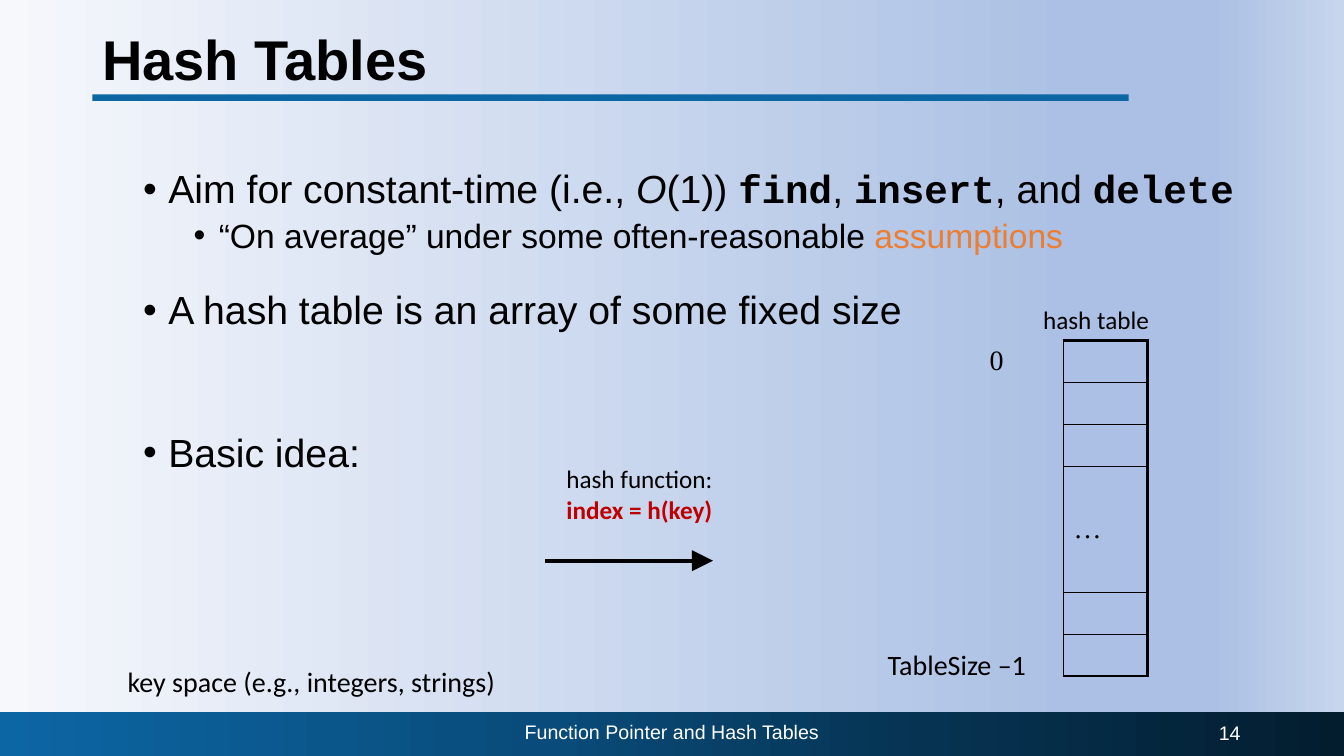
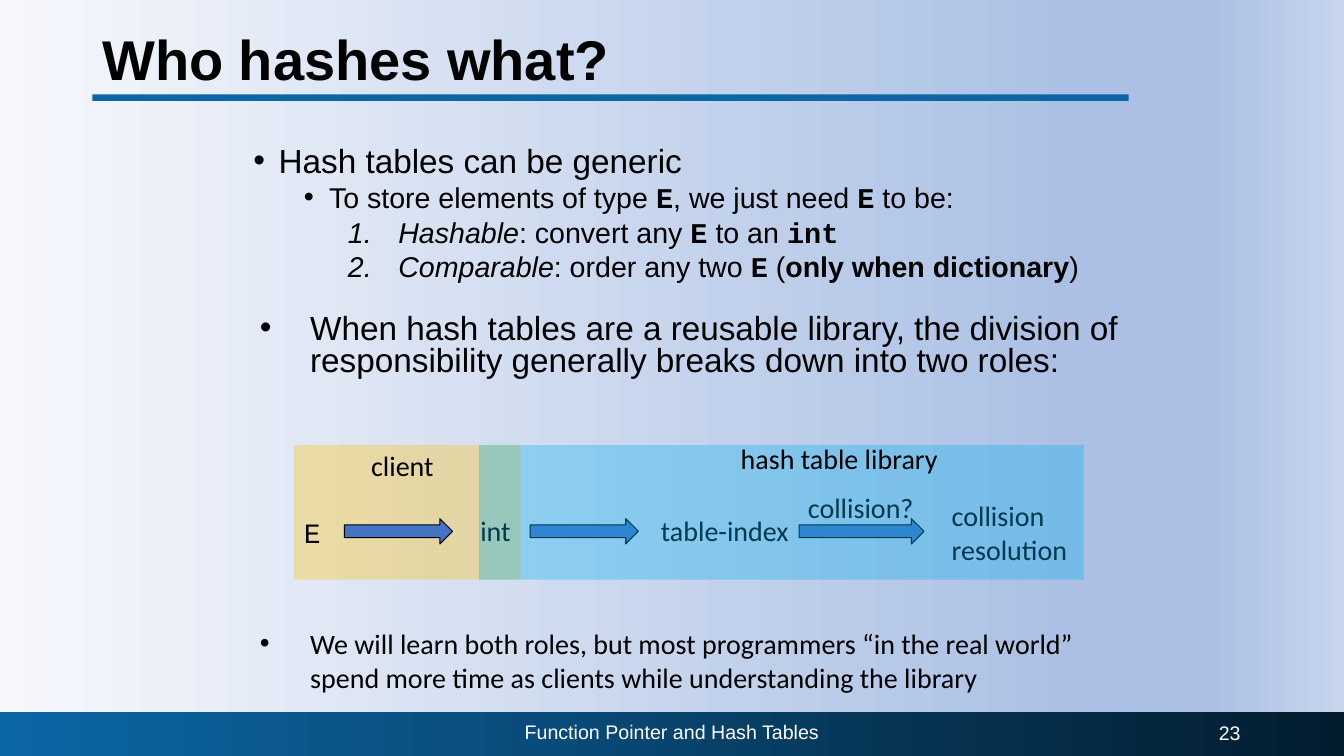
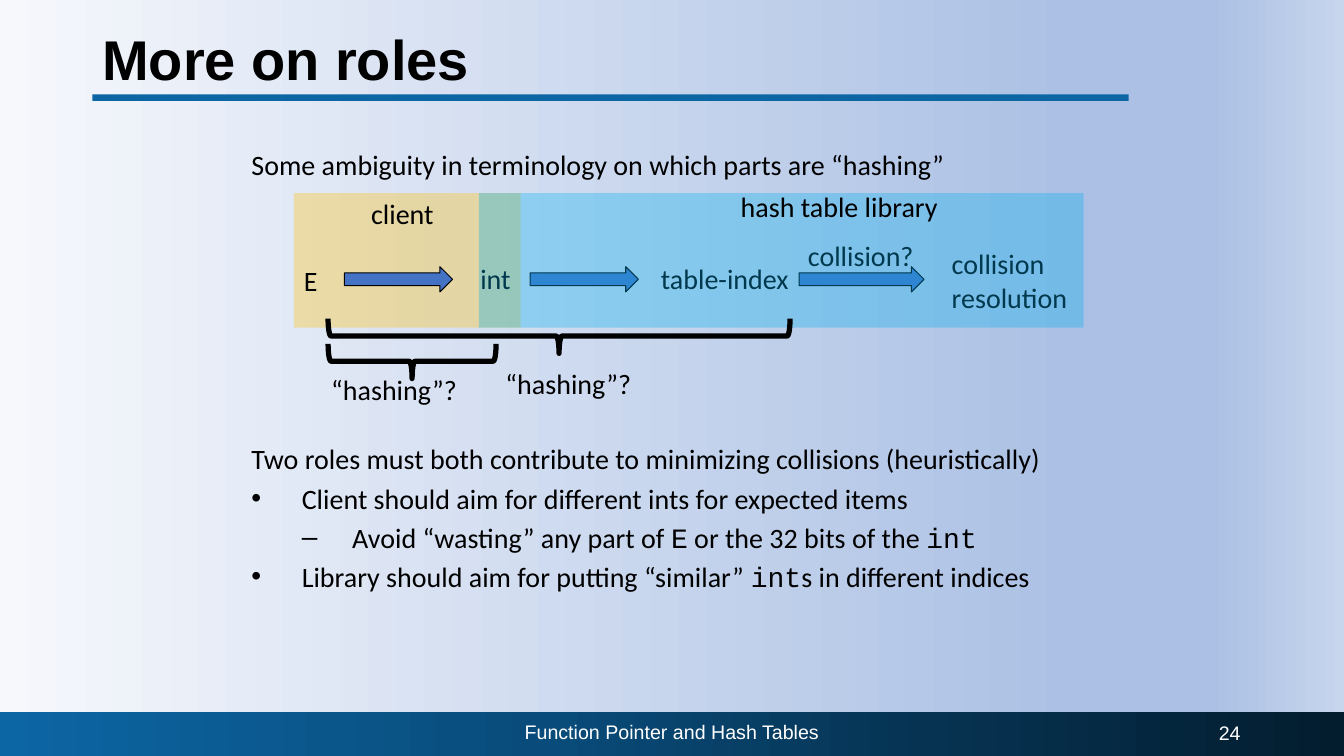
from dataclasses import dataclass
from typing import Optional, Sequence

from pptx import Presentation
from pptx.dml.color import RGBColor
from pptx.enum.shapes import MSO_CONNECTOR as Connector, MSO_SHAPE as Preset
from pptx.enum.text import MSO_ANCHOR as Anchor, MSO_AUTO_SIZE as AutoSize, PP_ALIGN as Align
from pptx.oxml.ns import qn
from pptx.oxml.xmlchemy import OxmlElement
from pptx.util import Emu, Pt

EMU_PER_PX = 9525
COLORS = {
    "black": "000000", "white": "FFFFFF", "rule": "0C66A4", "assumption": "ED7D31",
    "formula": "C00000", "arrow": "4472C4", "client": "FFC000", "library": "00B0F0",
}
BACKGROUND_STOPS = [(0, "F6F8FC"), (80, "ABC0E4"), (90, "ABC0E4"), (100, "C7D5ED")]
BAND_STOPS = [(0, "0C66A4"), (40, "094C7B"), (69, "063352"), (100, "031D2F")]
SANS, LABEL, CODE, SERIF = "Arial", "Calibri", "Courier New", "Times New Roman"
FOOTER = "Function Pointer and Hash Tables"


@dataclass(frozen=True)
class Box:
    left: int
    top: int
    width: int
    height: int

    def emu(self) -> tuple:
        return tuple(px(value) for value in (self.left, self.top, self.width, self.height))


@dataclass(frozen=True)
class Span:
    text: str
    font: Optional[str] = None
    bold: bool = False
    italic: bool = False
    color: str = "black"


@dataclass(frozen=True)
class Item:
    spans: Sequence[Span]
    size: float = 20
    level: int = 0
    left: int = 0
    hanging: int = 0
    bullet: str = ""
    before: float = 0
    spacing: Optional[float] = None


@dataclass(frozen=True)
class Label:
    box: Box
    lines: Sequence[Span]
    size: int = 20
    font: str = LABEL
    align: Align = Align.LEFT
    wraps: bool = False


def px(value: int) -> Emu:
    return Emu(value * EMU_PER_PX)


def rgb(name: str) -> RGBColor:
    return RGBColor.from_string(COLORS[name])


def add_child(parent, tag: str, **attributes: str):
    child = OxmlElement(tag)
    for name, value in attributes.items():
        child.set(name, value)
    parent.append(child)
    return child


def set_gradient(fill, owner, stops: Sequence) -> None:
    fill.gradient()
    fill.gradient_angle = 0
    stop_list = owner.find(".//" + qn("a:gsLst"))
    for stop in list(stop_list):
        stop_list.remove(stop)
    for position, color in stops:
        stop = add_child(stop_list, "a:gs", pos=str(position * 1000))
        add_child(stop, "a:srgbClr", val=color)


def format_run(run, span: Span, font: str, size: float) -> None:
    run.font.name = span.font or font
    run.font.size = Pt(size)
    run.font.bold = span.bold
    run.font.italic = span.italic
    run.font.color.rgb = rgb(span.color)


def add_shape(slide, preset: Preset, box: Box, color: Optional[str] = None,
              line_width: float = 0, opacity: int = 100):
    shape = slide.shapes.add_shape(preset, *box.emu())
    shape.shadow.inherit = False
    if color:
        shape.fill.solid()
        shape.fill.fore_color.rgb = rgb(color)
        if opacity < 100:
            fill_color = shape._element.spPr.find(".//" + qn("a:srgbClr"))
            add_child(fill_color, "a:alpha", val=str(opacity * 1000))
    else:
        shape.fill.background()
    if line_width:
        shape.line.color.rgb = rgb("black")
        shape.line.width = Pt(line_width)
    else:
        shape.line.fill.background()
    return shape


def add_line_text(slide, box: Box, span: Span, size: int, align: Align = Align.LEFT,
                  spacing: Optional[float] = None) -> None:
    frame = slide.shapes.add_textbox(*box.emu()).text_frame
    frame.word_wrap = True
    frame.vertical_anchor = Anchor.MIDDLE
    frame.text = span.text
    paragraph = frame.paragraphs[0]
    paragraph.alignment = align
    paragraph.line_spacing = spacing
    format_run(paragraph.runs[0], span, SANS, size)


def add_label(slide, label: Label) -> None:
    frame = slide.shapes.add_textbox(*label.box.emu()).text_frame
    frame.word_wrap = label.wraps
    frame.auto_size = AutoSize.SHAPE_TO_FIT_TEXT
    frame.text = "\n".join(line.text for line in label.lines)
    for paragraph, line in zip(frame.paragraphs, label.lines):
        paragraph.alignment = label.align
        format_run(paragraph.runs[0], line, label.font, label.size)


def add_items(slide, box: Box, items: Sequence[Item], font: str) -> None:
    frame = slide.shapes.add_textbox(*box.emu()).text_frame
    frame.word_wrap = True
    for index, item in enumerate(items):
        paragraph = frame.add_paragraph() if index else frame.paragraphs[0]
        paragraph.level = item.level
        paragraph.space_before = Pt(item.before)
        paragraph.line_spacing = item.spacing
        properties = paragraph._p.get_or_add_pPr()
        properties.set("marL", str(px(item.left)))
        properties.set("indent", str(px(-item.hanging)))
        if item.bullet:
            add_child(properties, "a:buFont", typeface=SANS)
        if item.bullet == "1.":
            add_child(properties, "a:buAutoNum", type="arabicPeriod")
        elif item.bullet:
            add_child(properties, "a:buChar", char=item.bullet)
        for span in item.spans:
            run = paragraph.add_run()
            run.text = span.text
            format_run(run, span, font, item.size)


def add_framed_slide(presentation, title: str, number: int):
    slide = presentation.slides.add_slide(presentation.slide_layouts[6])
    set_gradient(slide.background.fill, slide._element, BACKGROUND_STOPS)
    band = add_shape(slide, Preset.RECTANGLE, Box(0, 678, 1280, 42))
    set_gradient(band.fill, band._element, BAND_STOPS)
    add_shape(slide, Preset.RECTANGLE, Box(88, 90, 987, 6), "rule")
    add_line_text(slide, Box(88, 11, 1104, 97), Span(title, bold=True), 40, spacing=0.9)
    add_line_text(slide, Box(424, 678, 432, 38), Span(FOOTER, color="white"), 14, Align.CENTER)
    add_line_text(slide, Box(903, 679, 288, 38), Span(str(number), color="white"), 14, Align.RIGHT)
    return slide


def set_borders(cell, **widths: float) -> None:
    properties = cell._tc.get_or_add_tcPr()
    for side in "LRTB":
        width = widths.get(side, 0)
        border = add_child(properties, "a:ln" + side, w=str(Pt(width)))
        if width:
            add_child(add_child(border, "a:solidFill"), "a:srgbClr", val=COLORS["black"])
        else:
            add_child(border, "a:noFill")


def add_hash_table(slide) -> None:
    rows, gap_rows, thin, thick = 8, (3, 4, 5), 1, 2.25
    table = slide.shapes.add_table(rows, 2, *Box(933, 324, 160, 40 * rows).emu()).table
    table.first_row = False
    table.horz_banding = False

    def edge(row: int) -> float:
        if row in (0, rows):
            return thick
        return 0 if row in gap_rows[1:] else thin

    for row in range(rows):
        index_cell, slot_cell = table.cell(row, 0), table.cell(row, 1)
        set_borders(index_cell, R=thin)
        set_borders(slot_cell, L=thin, R=thick, T=edge(row), B=edge(row + 1))
        for cell in (index_cell, slot_cell):
            cell.fill.background()
    for row, column, text in ((0, 0, "0"), (4, 1, "…")):
        cell = table.cell(row, column)
        cell.text = text
        cell.margin_bottom = px(2)
        format_run(cell.text_frame.paragraphs[0].runs[0], Span(text), SERIF, 20)
    first_index = table.cell(0, 0)
    first_index.margin_top = px(2)
    first_index.vertical_anchor = Anchor.MIDDLE


def add_arrow_line(slide, left: int, right: int, y: int) -> None:
    arrow = slide.shapes.add_connector(Connector.STRAIGHT, px(left), px(y), px(right), px(y))
    arrow.line.color.rgb = rgb("black")
    arrow.line.width = Pt(3)
    add_child(arrow.line._get_or_add_ln(), "a:tailEnd", type="triangle", w="lg", len="lg")
    add_child(arrow._element.spPr, "a:effectLst")


def add_roles_diagram(slide, top: int, element_font: str) -> None:
    add_shape(slide, Preset.RECTANGLE, Box(280, top, 216, 128), "client", opacity=32)
    for left, width in ((328, 103), (505, 103), (761, 119)):
        add_shape(slide, Preset.RIGHT_ARROW, Box(left, top + 70, width, 24), "arrow", 0.75)
    labels = [
        Label(Box(280, top + 62, 34, 42), [Span("E", element_font)]),
        Label(Box(448, top + 60, 49, 42), [Span("int")]),
        Label(Box(620, top + 60, 142, 42), [Span("table-index")]),
        Label(Box(760, top + 38, 124, 42), [Span("collision?")]),
        Label(Box(897, top + 46, 131, 74), [Span("collision"), Span("resolution")]),
        Label(Box(344, top - 2, 79, 42), [Span("client")]),
    ]
    for label in labels:
        add_label(slide, label)
    add_shape(slide, Preset.RECTANGLE, Box(456, top, 576, 128), "library", opacity=32)
    add_label(slide, Label(Box(696, top - 8, 209, 42), [Span("hash table library")]))


def code(text: str, bold: bool = True) -> Span:
    return Span(text, CODE, bold)


def main_point(spans: Sequence[Span], before: float = 10) -> Item:
    return Item(spans, 28, 0, 24, 24, "•", before, 0.9)


def numbered(*spans: Span) -> Item:
    return Item(spans, 20.4, 2, 138, 48, "1.", 5, 0.8)


def note(*spans: Span, bullet: str = "", level: int = 0) -> Item:
    return Item(spans, 20, level, 54 + 48 * level, 48, bullet, 4)


def build_hash_tables(presentation) -> None:
    slide = add_framed_slide(presentation, "Hash Tables", 14)
    add_items(slide, Box(127, 157, 1104, 472), [
        main_point([
            Span("Aim for constant-time (i.e., "), Span("O", italic=True), Span("(1)) "),
            code("find"), Span(", "), code("insert"), Span(", and "), code("delete"),
        ]),
        Item([
            Span("“On average” under some often-reasonable "),
            Span("assumptions", color="assumption"),
        ], 24, 1, 72, 24, "•", 5, 0.9),
        main_point([Span("A hash table is an array of some fixed size")], 25.5),
        main_point([Span("Basic idea:")], 71.5),
    ], SANS)
    add_hash_table(slide)
    add_arrow_line(slide, 519, 679, 534)
    labels = [
        Label(Box(836, 612, 195, 42), [Span("TableSize –1")], wraps=True),
        Label(Box(529, 437, 160, 68),
              [Span("hash function:"), Span("index = h(key)", bold=True, color="formula")],
              18, align=Align.CENTER),
        Label(Box(984, 285, 121, 38), [Span("hash table")], 18),
        Label(Box(112, 628, 373, 42), [Span("key space (e.g., integers, strings)")]),
    ]
    for label in labels:
        add_label(slide, label)


def build_who_hashes(presentation) -> None:
    slide = add_framed_slide(presentation, "Who hashes what?", 23)
    add_items(slide, Box(232, 136, 856, 264), [
        Item([Span("Hash tables can be generic")], 23.8, 0, 24, 24, "•", 10, 0.8),
        Item([
            Span("To store elements of type "), code("E"), Span(", we just need "),
            code("E"), Span(" to be:"),
        ], 20.4, 1, 72, 24, "•", 5, 0.8),
        numbered(Span("Hashable", italic=True), Span(": convert any "), code("E"),
                 Span(" to an "), code("int")),
        numbered(Span("Comparable", italic=True), Span(": order any two "), code("E"),
                 Span(" ("), Span("only when dictionary", bold=True), Span(")")),
        Item([Span("When hash tables are a reusable library, the division of "
                   "responsibility generally breaks down into two roles:")],
             23.8, 0, 54, 48, "•", 23, 0.8),
    ], SANS)
    add_items(slide, Box(232, 592, 856, 72), [
        note(Span("We will learn both roles, but most programmers “in the real world” "
                  "spend more time as clients while understanding the library"), bullet="•"),
    ], LABEL)
    add_roles_diagram(slide, 424, CODE)


def build_more_on_roles(presentation) -> None:
    slide = add_framed_slide(presentation, "More on roles", 24)
    add_items(slide, Box(224, 416, 856, 256), [
        note(Span("Two roles must both contribute to minimizing collisions (heuristically)")),
        note(Span("Client should aim for different ints for expected items"), bullet="•"),
        note(Span("Avoid “wasting” any part of "), code("E", False),
             Span(" or the 32 bits of the "), code("int", False), bullet="–", level=1),
        note(Span("Library should aim for putting “similar” "), code("int", False),
             Span("s in different indices"), bullet="•"),
    ], LABEL)
    add_roles_diagram(slide, 184, LABEL)
    add_items(slide, Box(224, 136, 856, 72), [
        note(Span("Some ambiguity in terminology on which parts are “hashing”")),
    ], LABEL)
    braces = (
        (Box(376, 264, 33, 160), Box(306, 350, 140, 42)),
        (Box(516, 100, 33, 440), Box(472, 344, 140, 42)),
    )
    for brace_box, label_box in braces:
        brace = add_shape(slide, Preset.LEFT_BRACE, brace_box, line_width=3.75)
        brace.rotation = 270
        add_label(slide, Label(label_box, [Span("“hashing”?")]))


def main() -> None:
    presentation = Presentation()
    presentation.slide_width = px(1280)
    presentation.slide_height = px(720)
    build_hash_tables(presentation)
    build_who_hashes(presentation)
    build_more_on_roles(presentation)
    presentation.save("out.pptx")


if __name__ == "__main__":
    main()
